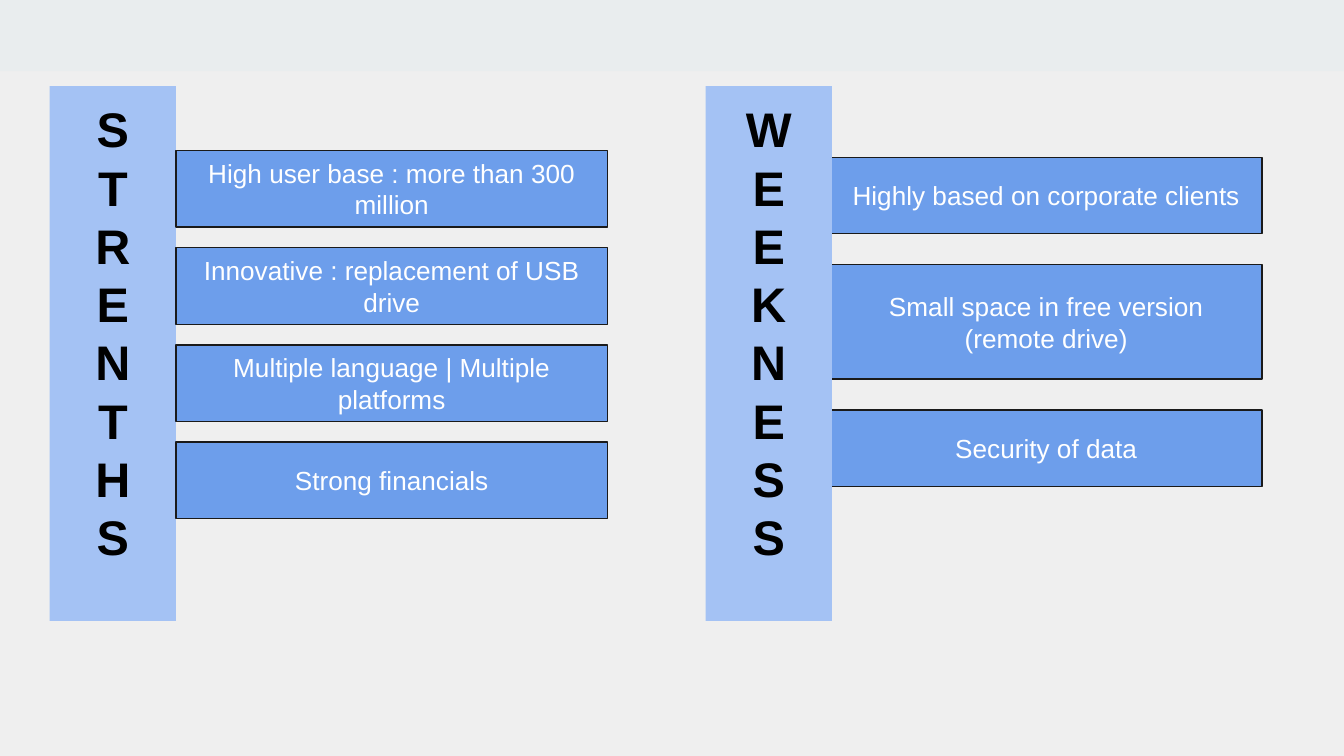
from pptx import Presentation
from pptx.dml.color import RGBColor
from pptx.enum import shapes, text
from pptx.util import Inches, Pt

PAPER = RGBColor(0xEF, 0xEF, 0xEF)
BAND = RGBColor(0xE9, 0xED, 0xEE)
PALE = RGBColor(0xA4, 0xC2, 0xF4)
BLUE = RGBColor(0x6D, 0x9E, 0xEB)
EDGE = RGBColor(0x1A, 0x1A, 0x1A)
BLACK = RGBColor(0, 0, 0)
WHITE = RGBColor(0xFF, 0xFF, 0xFF)

WIDE = 10
TALL = WIDE * 9 / 16

STRONG = [
    ("High user base : more than 300 million", 0.57),
    ("Innovative : replacement of USB drive", 0.57),
    ("Multiple language | Multiple platforms", 0.57),
    ("Strong financials", 0.57),
]
WEAK = [
    ("Highly based on corporate clients", 0.57),
    ("Small space in free version (remote drive)", 0.85),
    ("Security of data", 0.57),
]


def add_rect(slide, x, y, w, h, fill, edge=None):
    rect = slide.shapes.add_shape(
        shapes.MSO_SHAPE.RECTANGLE, Inches(x), Inches(y), Inches(w), Inches(h)
    )
    rect.shadow.inherit = False
    rect.fill.solid()
    rect.fill.fore_color.rgb = fill
    if edge is None:
        rect.line.fill.background()
    else:
        rect.line.color.rgb = edge
        rect.line.width = Pt(0.75)
    return rect


def put_text(shape, lines, size=14, color=WHITE, bold=False,
             anchor=text.MSO_ANCHOR.MIDDLE):
    frame = shape.text_frame
    frame.word_wrap = True
    frame.vertical_anchor = anchor
    frame.margin_left = frame.margin_right = Inches(0.1)
    frame.margin_top = frame.margin_bottom = Inches(0.1)
    frame.text = "\n".join(lines)
    for para in frame.paragraphs:
        para.alignment = text.PP_ALIGN.CENTER
        para.line_spacing = 1.0
        font = para.runs[0].font
        font.name = "Arial"
        font.size = Pt(size)
        font.bold = bold
        font.color.rgb = color


def add_title(slide, x, word):
    bar = add_rect(slide, x, 0.64, 0.94, 3.98, PALE)
    put_text(bar, list(word), size=26, color=BLACK, bold=True,
             anchor=text.MSO_ANCHOR.TOP)


def add_stack(slide, x, top, end, items):
    gap = (end - top - sum(high for _, high in items)) / (len(items) - 1)
    for label, high in items:
        box = add_rect(slide, x, top, 3.21, high, BLUE, EDGE)
        put_text(box, [label])
        top += high + gap


def main():
    deck = Presentation()
    deck.slide_width, deck.slide_height = Inches(WIDE), Inches(TALL)
    slide = deck.slides.add_slide(deck.slide_layouts[6])
    slide.background.fill.solid()
    slide.background.fill.fore_color.rgb = PAPER
    add_rect(slide, 0, 0, WIDE, 0.53, BAND)
    add_title(slide, 0.37, "STRENTHS")
    add_stack(slide, 1.31, 1.12, 3.86, STRONG)
    add_stack(slide, 6.18, 1.17, 3.62, WEAK)
    add_title(slide, 5.25, "WEEKNESS")
    deck.save("out.pptx")


if __name__ == "__main__":
    main()
